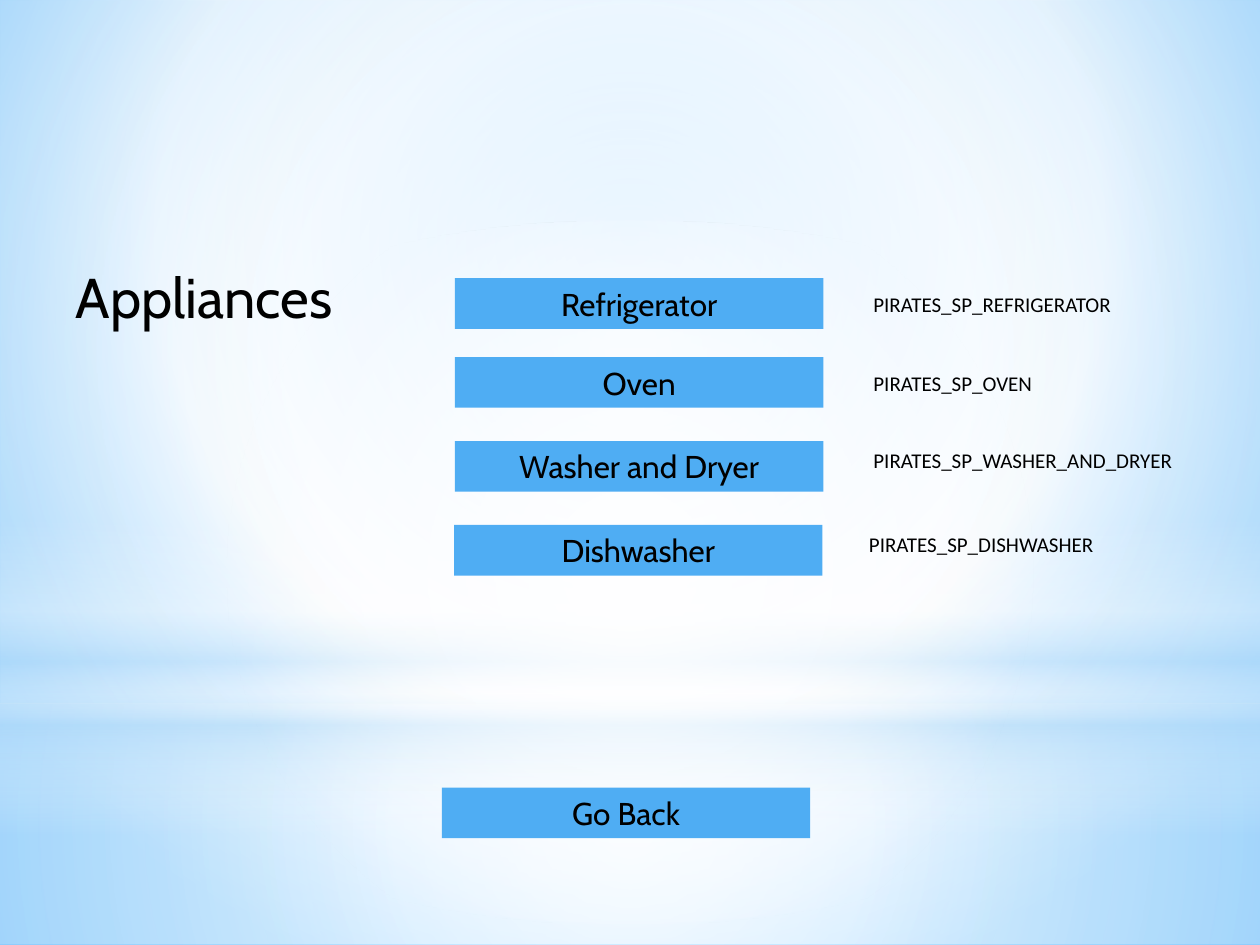
from lxml import etree
from pptx import Presentation
from pptx.dml.color import RGBColor
from pptx.enum.shapes import MSO_SHAPE
from pptx.enum.text import MSO_ANCHOR, PP_ALIGN
from pptx.oxml.ns import qn
from pptx.util import Pt

RECT, OVAL = MSO_SHAPE.RECTANGLE, MSO_SHAPE.OVAL
LEFT, CENTER = PP_ALIGN.LEFT, PP_ALIGN.CENTER
MIDDLE = MSO_ANCHOR.MIDDLE
COLORS = {"white": "FFFFFF", "pale": "B4DCFA", "sky": "9ED5FF",
          "deep": "5BB9FF", "button": "4FADF3", "text": "000000"}


def blend(item, stops, focus=None):
    """Fill a shape or background with stops of (place, color, opacity)."""
    item.fill.solid() if hasattr(item, "fill") else item.background.fill.solid()
    old = item.element.find(".//" + qn("a:solidFill"))
    grad = etree.Element(qn("a:gradFill"), rotWithShape="1")
    marks = etree.SubElement(grad, qn("a:gsLst"))
    for place, name, alpha in stops:
        mark = etree.SubElement(marks, qn("a:gs"), pos=str(place * 1000))
        color = etree.SubElement(mark, qn("a:srgbClr"), val=COLORS[name])
        if alpha < 100:
            etree.SubElement(color, qn("a:alpha"), val=str(alpha * 1000))
    if focus:
        path = etree.SubElement(grad, qn("a:path"), path="circle")
        sides = {side: str(part * 1000) for side, part in zip("ltrb", focus)}
        etree.SubElement(path, qn("a:fillToRect"), **sides)
    else:
        etree.SubElement(grad, qn("a:lin"), ang="5400000", scaled="0")
    old.getparent().replace(old, grad)


def write(shape, text, size, font, align, wrap):
    """Put one line of text in a shape and format it."""
    frame = shape.text_frame
    frame.text = text
    frame.word_wrap = wrap
    line = frame.paragraphs[0]
    line.alignment = align
    face = line.runs[0].font
    face.size, face.name = Pt(size), font
    face.color.rgb = RGBColor.from_string(COLORS["text"])


deck = Presentation()
deck.slide_width, deck.slide_height = Pt(720), Pt(540)
slide = deck.slides.add_slide(deck.slide_layouts[5])
shapes = slide.shapes
blend(slide, [(0, "sky", 100), (60, "white", 100), (100, "deep", 100)],
      (20, 10, 20, 60))

# Soft light behind the content: kind, top, height, focus, stops
mid = (50, 50, 50, 50)
glows = [
    (RECT, 402, 138, mid,
     [(0, "white", 91), (37, "white", 76), (100, "pale", 79)]),
    (RECT, 0, 402, mid,
     [(0, "white", 89), (48, "white", 62), (100, "pale", 79)]),
    (RECT, 297, 180, None,
     [(0, "white", 0), (29, "white", 30), (45, "pale", 40),
      (55, "white", 26), (65, "pale", 60), (100, "white", 0)]),
    (OVAL, 126, 402, mid, [(0, "white", 100), (56, "white", 0)]),
]
for kind, top, height, focus, stops in glows:
    glow = shapes.add_shape(kind, 0, Pt(top), Pt(720), Pt(height))
    glow.shadow.inherit = False
    glow.line.fill.background()
    blend(glow, stops, focus)

# Title, lifted above the light
title = shapes.title
shapes.element.append(title.element)
title.left, title.top, title.width, title.height = Pt(36), Pt(146), Pt(170), Pt(46)
title.text_frame.vertical_anchor = MIDDLE
write(title, "Appliances", 32, "Cabin", LEFT, False)

# Buttons: label, left, top
buttons = [("Refrigerator", 260, 159), ("Oven", 260, 204),
           ("Washer and Dryer", 260, 252), ("Dishwasher", 259.5, 300),
           ("Go Back", 252.5, 450)]
for label, left, top in buttons:
    button = shapes.add_shape(RECT, Pt(left), Pt(top), Pt(210.5), Pt(29))
    button.shadow.inherit = False
    button.fill.solid()
    button.fill.fore_color.rgb = RGBColor.from_string(COLORS["button"])
    button.line.fill.background()
    button.text_frame.vertical_anchor = MIDDLE
    write(button, label, 18, "Cabin", CENTER, True)

# Codes: name, left, top, width
codes = [("REFRIGERATOR", 492, 163, 152), ("OVEN", 492, 208, 107),
         ("WASHER_AND_DRYER", 492, 252, 187), ("DISHWASHER", 489.5, 300, 144)]
for name, left, top, width in codes:
    code = shapes.add_textbox(Pt(left), Pt(top), Pt(width), Pt(21.8))
    write(code, "PIRATES_SP_" + name, 12, "Calibri", LEFT, False)

deck.save("out.pptx")
